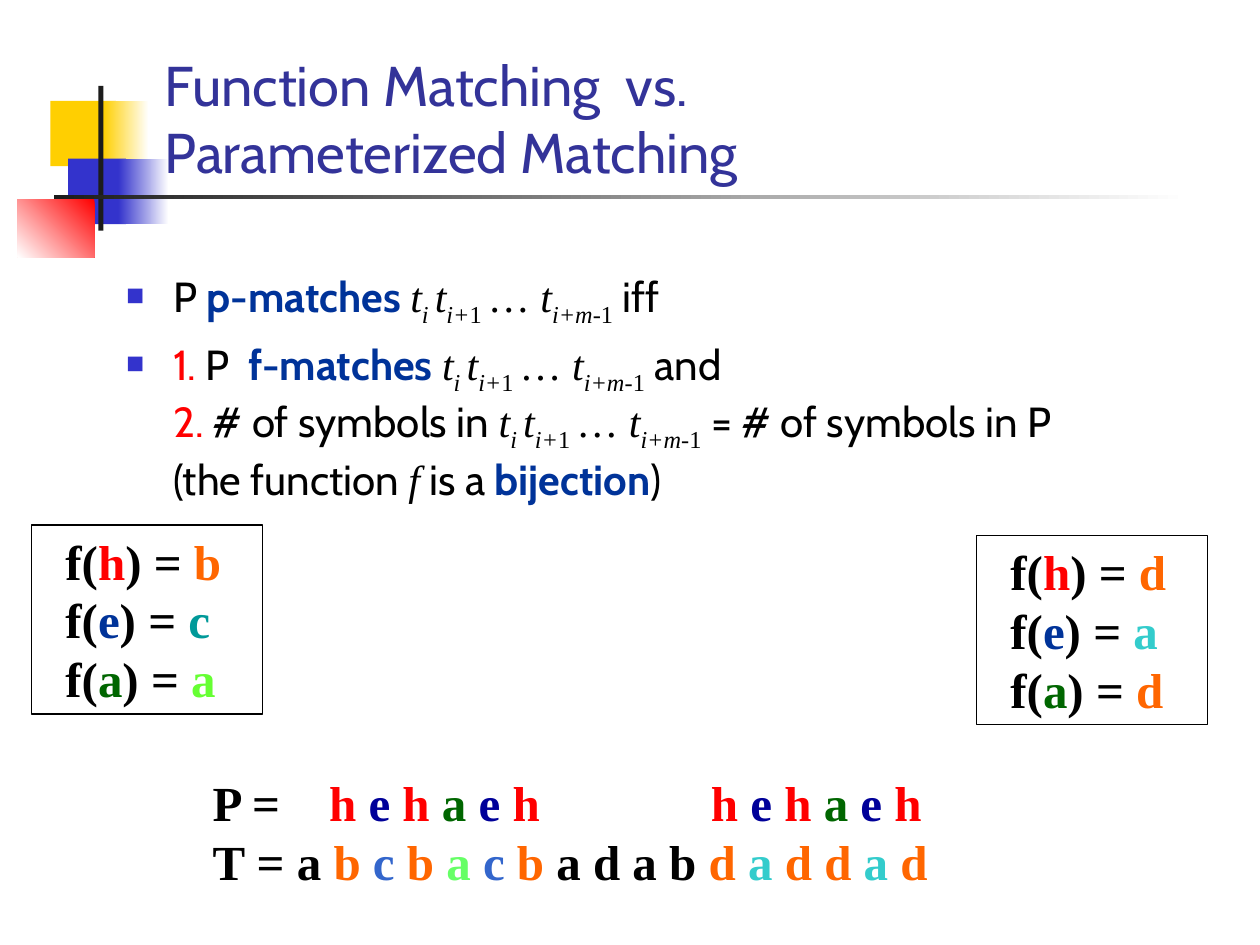
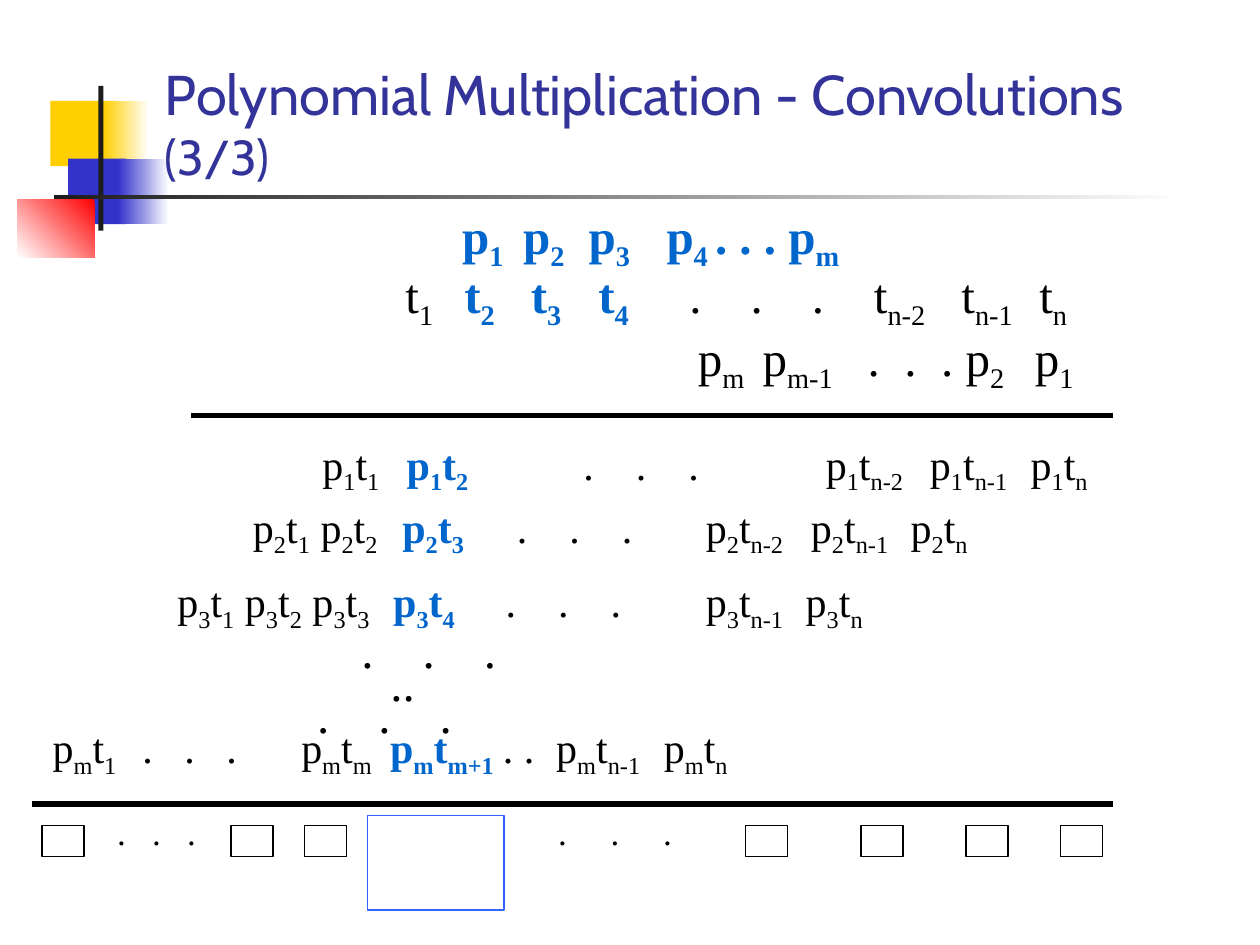
"""Build two slides on function matching and polynomial multiplication."""
import lxml.etree
import pptx
import pptx.dml.color
import pptx.enum.shapes
import pptx.enum.text
import pptx.oxml.ns
import pptx.util

Pt = pptx.util.Pt
SANS, SERIF = "Cabin", "Times New Roman"
BLACK, RED, ORANGE, GREEN = "000000", "FF0000", "FF6600", "006600"
NAVY, INDIGO, TURQUOISE = "003399", "000099", "33CCCC"
TITLE, BULLET, DIAGONAL, FRAME = "333399", "3333CC", "0066CC", "3366FF"
YELLOW, CHARCOAL, WHITE = "FFCF01", "1C1C1C", "FFFFFF"


def rgb(value):
    return pptx.dml.color.RGBColor.from_string(value)


def child(parent, tag, **attributes):
    return lxml.etree.SubElement(parent, pptx.oxml.ns.qn(tag), attributes)


def tinted(letters, colours):
    return [(letter + " ", colours[letter]) for letter in letters.split()]


def dots(left, pitch):
    return [(left + pitch * i, ".") for i in range(3)]


class Deck:
    def __init__(self):
        self.presentation = pptx.Presentation()
        self.presentation.slide_width, self.presentation.slide_height = Pt(720), Pt(540)
        self.layout = self.presentation.slide_layouts[5]
        self.slide = None

    def start(self, *title_parts):
        self.slide = self.presentation.slides.add_slide(self.layout)
        title = self.slide.shapes.title
        title.left, title.top, title.width, title.height = Pt(87), Pt(19.4), Pt(590.4), Pt(90)
        frame = title.text_frame
        frame.vertical_anchor = pptx.enum.text.MSO_ANCHOR.BOTTOM
        frame.auto_size = pptx.enum.text.MSO_AUTO_SIZE.NONE
        frame.word_wrap = True
        for text, size in title_parts:
            self.add_pieces(frame.paragraphs[0], [(text, TITLE)], size, SANS)

    def block(self, left, top, width, height, fill=None, fade_angle=None, line=None):
        shape = self.slide.shapes.add_shape(
            pptx.enum.shapes.MSO_SHAPE.RECTANGLE, Pt(left), Pt(top), Pt(width), Pt(height))
        shape.shadow.inherit = False
        if fade_angle:
            shape.fill.gradient()
            shape.fill.gradient_angle = fade_angle
            ends = (WHITE, fill) if fade_angle == 180 else (fill, WHITE)
            for stop, colour in zip(shape.fill.gradient_stops, ends):
                stop.color.rgb = rgb(colour)
        elif fill:
            shape.fill.solid()
            shape.fill.fore_color.rgb = rgb(fill)
        else:
            shape.fill.background()
        if line:
            shape.line.color.rgb = rgb(line)
            shape.line.width = Pt(0.75)
        else:
            shape.line.fill.background()
        return shape

    def share_on_layout(self, shapes):
        for number, shape in enumerate(shapes):
            element = shape._element
            element.nvSpPr.cNvPr.set("id", str(100 + number))
            self.layout.shapes._spTree.insert(2 + number, element)

    def rule(self, left, right, y):
        line = self.slide.shapes.add_connector(
            pptx.enum.shapes.MSO_CONNECTOR.STRAIGHT, Pt(left), Pt(y), Pt(right), Pt(y))
        line.line.color.rgb = rgb(BLACK)
        line.line.width = Pt(3)
        child(line._element.spPr, "a:effectLst")

    def text_frame(self, left, top, width, height):
        box = self.slide.shapes.add_textbox(Pt(left), Pt(top), Pt(width), Pt(height))
        box.text_frame.word_wrap = True
        return box.text_frame

    def add_pieces(self, paragraph, pieces, size, font=SERIF, bold=False):
        paragraph.alignment = pptx.enum.text.PP_ALIGN.LEFT
        for text, colour, *flags in pieces:
            for line_number, line in enumerate(text.split("\n")):
                if line_number:
                    paragraph.add_line_break()
                for position, part in enumerate(line.split("~")):
                    if not part:
                        continue
                    run = paragraph.add_run()
                    run.text = part
                    run.font.name = SERIF if "serif" in flags else font
                    run.font.size = Pt(size)
                    run.font.bold = bold or "bold" in flags
                    run.font.italic = "italic" in flags
                    run.font.color.rgb = rgb(colour)
                    is_subscript = position % 2
                    if is_subscript:
                        run._r.get_or_add_rPr().set("baseline", "-25000")

    def tab_stops(self, paragraph, positions):
        stops = child(paragraph._p.get_or_add_pPr(), "a:tabLst")
        for position in positions:
            child(stops, "a:tab", pos=str(int(Pt(position))), algn="l")

    def bullets(self, left, top, width, height, items, size):
        frame = self.text_frame(left, top, width, height)
        for number, pieces in enumerate(items):
            paragraph = frame.add_paragraph() if number else frame.paragraphs[0]
            paragraph.space_before = Pt(6 if number else 0)
            properties = paragraph._p.get_or_add_pPr()
            properties.set("marL", str(int(Pt(27))))
            properties.set("indent", str(int(Pt(-27))))
            child(child(properties, "a:buClr"), "a:srgbClr", val=BULLET)
            child(properties, "a:buSzPct", val="60000")
            child(properties, "a:buChar", char="■")
            self.add_pieces(paragraph, pieces, size, SANS)

    def terms(self, top, width, height, cells, size=28):
        start = cells[0][0]
        paragraph = self.text_frame(start - 7.2, top, width, height).paragraphs[0]
        self.tab_stops(paragraph, [cell[0] - start for cell in cells[1:]])
        for number, (_, text, *colour) in enumerate(cells):
            pieces = [("\t" * bool(number) + text, *(colour or [BLACK]))]
            self.add_pieces(paragraph, pieces, size, bold=bool(colour))

    def mapping(self, left, top, images):
        frame = self.block(left, top, 132, 108, line=BLACK).text_frame
        frame.margin_left = Pt(19.4)
        frame.vertical_anchor = pptx.enum.text.MSO_ANCHOR.TOP
        frame.word_wrap = True
        sources = (("h", RED), ("e", NAVY), ("a", GREEN))
        for number, (source, image) in enumerate(zip(sources, images)):
            paragraph = frame.add_paragraph() if number else frame.paragraphs[0]
            pieces = [("f(", BLACK), source, (") = ", BLACK), image]
            self.add_pieces(paragraph, pieces, 28, bold=True)


def decorate(deck):
    deck.share_on_layout([
        deck.block(28.8, 57.6, 37.4, 37.4, YELLOW),
        deck.block(59, 57.6, 26, 37.4, YELLOW, 180),
        deck.block(38.9, 90.7, 33.1, 37.4, BULLET),
        deck.block(67.7, 90.7, 28.8, 37.4, BULLET, 180),
        deck.block(10, 113.8, 44, 33.1, RED, 225),
        deck.block(56.2, 49, 2.9, 82.8, CHARCOAL),
        deck.block(31, 111.6, 648, 2.2, CHARCOAL, 180),
    ])


def matching_slide(deck):
    deck.start(("Function Matching  vs. \nParameterized Matching", 32))
    decorate(deck)
    window = [("t~i ~t~i+~", BLACK, "serif", "italic"), ("~1 ~… ", BLACK, "serif"),
              ("t~i+m-~", BLACK, "serif", "italic"), ("~1~", BLACK, "serif")]
    deck.bullets(64.8, 151.2, 612, 324, [
        [("P ", BLACK), ("p-matches ", NAVY, "bold"), *window, (" iff", BLACK)],
        [("1.", RED), (" P  ", BLACK), ("f-matches ", NAVY, "bold"), *window, (" and \n", BLACK),
         ("2.", RED), (" # of symbols in ", BLACK), *window,
         (" = # of symbols in P\n(the function ", BLACK), ("f", BLACK, "serif", "italic"),
         (" is a ", BLACK), ("bijection", NAVY, "bold"), (")", BLACK)],
    ], 24)

    strings = deck.text_frame(114.5, 437.8, 440, 75)
    pattern = tinted("h e h a e h", {"h": RED, "e": INDIGO, "a": GREEN})
    pattern_line, text_line = strings.paragraphs[0], strings.add_paragraph()
    deck.tab_stops(pattern_line, [66.5, 284.7])
    deck.add_pieces(
        pattern_line, [("P =\t", BLACK), *pattern, ("\t", BLACK), *pattern], 28, bold=True)
    deck.add_pieces(text_line, [
        ("T = a ", BLACK),
        *tinted("b c b a c b", {"b": ORANGE, "c": "3366CC", "a": "66FF66"}),
        ("a d a b ", BLACK),
        *tinted("d a d d a d", {"d": ORANGE, "a": TURQUOISE})], 28, bold=True)

    deck.mapping(558, 306, [("d", ORANGE), ("a", TURQUOISE), ("d", ORANGE)])
    deck.mapping(18, 300, [("b", ORANGE), ("c", "009999"), ("a", "66FF33")])


def convolution_slide(deck):
    deck.start(("Polynomial Multiplication - Convolutions", 32), (" (3/3)", 28))
    deck.terms(147.6, 399.6, 45.4, [
        (231.8, "t~1~"), (265.5, "t~2~", DIAGONAL), (303.5, "t~3~", DIAGONAL),
        (342, "t~4~", DIAGONAL), *dots(394, 35),
        (499.5, "t~n-2~"), (549.5, "t~n-1~"), (594, "t~n~")])
    deck.terms(183.6, 252, 45.4, [
        (398.9, "p~m~"), (436, "p~m-1~"), (496, "."), (517, "."), (538, ". p~2~"), (591.5, "p~1~")])
    deck.terms(113.8, 240, 45.4, [
        (264.2, "p~1~", DIAGONAL), (299, "p~2~", DIAGONAL), (336.5, "p~3~", DIAGONAL),
        (381, "p~4 ~. . . p~m~", DIAGONAL)])

    deck.terms(247, 458, 44, [
        (184.3, "p~1~t~1~"), (232.5, "p~1~t~2~", DIAGONAL), *dots(333.5, 30),
        (472, "p~1~t~n-2~"), (531.5, "p~1~t~n-1~"), (589, "p~1~t~n~")], 24)
    deck.terms(283, 429, 44, [
        (144.7, "p~2~t~1~ p~2~t~2~"), (230, "p~2~t~3~", DIAGONAL), *dots(295.5, 30),
        (403.5, "p~2~t~n-2~"), (463.5, "p~2~t~n-1~"), (520.5, "p~2~t~n~")], 24)
    deck.terms(325.4, 413, 44, [
        (101.5, "p~3~t~1~ p~3~t~2~ p~3~t~3~"), (224.8, "p~3~t~4~", DIAGONAL), *dots(289, 30),
        (403.5, "p~3~t~n-1~"), (460.5, "p~3~t~n~")], 24)
    deck.terms(409, 407, 44, [
        (30.2, "p~m~t~1~"), *dots(81.5, 24), (172.3, "p~m~t~m~"),
        (223, "p~m~t~m+1~", DIAGONAL), (287.5, ". ."),
        (318, "p~m~t~n-1~"), (379.5, "p~m~t~n~")], 24)

    deck.terms(350.6, 91.4, 41, dots(206.6, 35))
    deck.terms(387.4, 91.4, 41, dots(181.4, 35))
    deck.terms(369.4, 30, 41, [(223.2, "..")])
    deck.rule(109.4, 636, 237.6)
    deck.rule(18, 636, 459.4)

    for left in (24, 132, 174, 426, 492, 552, 606):
        deck.block(left, 471.6, 24, 18, line=BLACK)
    deck.block(210, 466, 78, 54, line=FRAME)
    deck.terms(459.4, 80, 31.7, dots(319, 30), 20)
    deck.terms(459.4, 60, 31.7, dots(67, 20), 20)


def main():
    deck = Deck()
    matching_slide(deck)
    convolution_slide(deck)
    deck.presentation.save("out.pptx")


if __name__ == "__main__":
    main()
